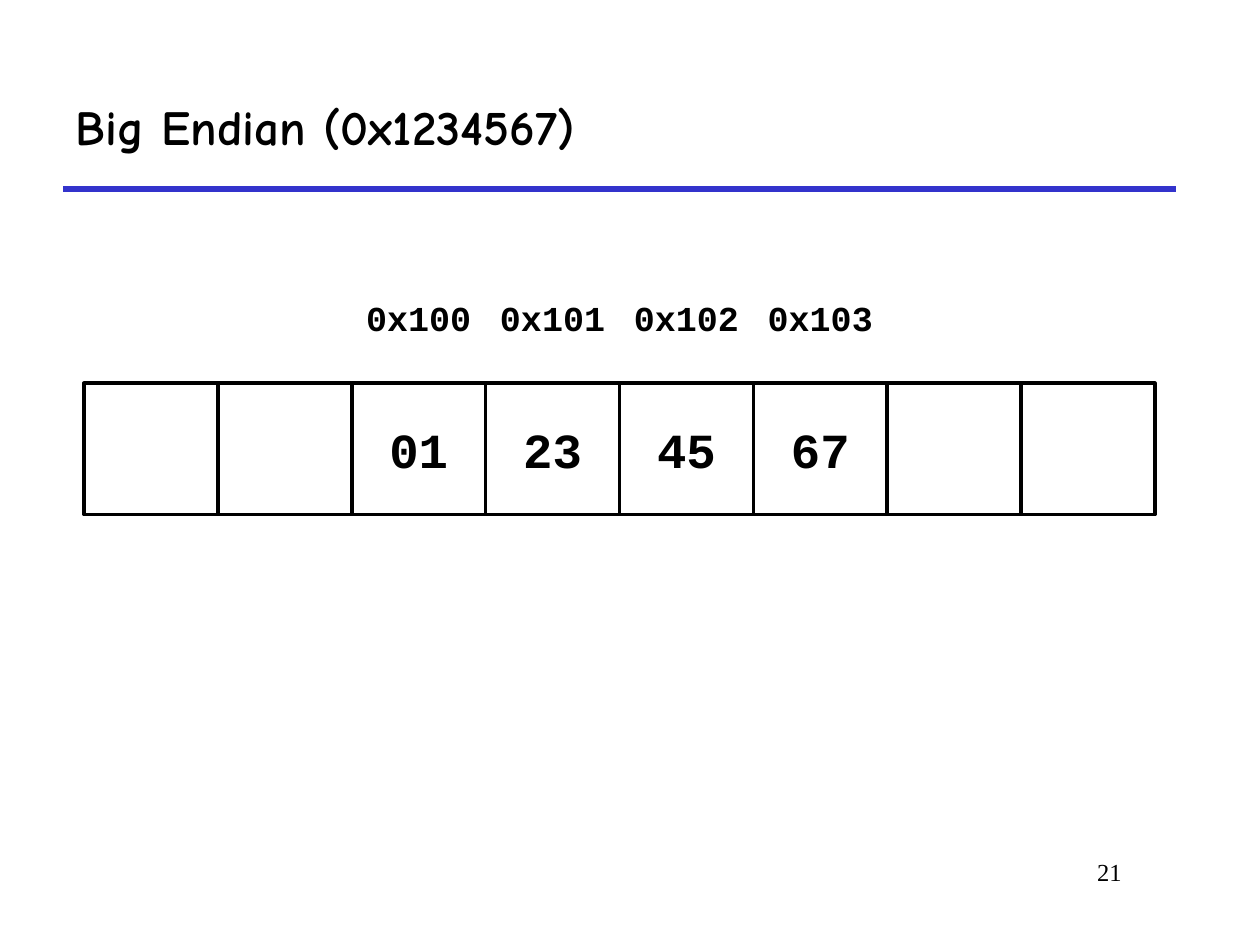
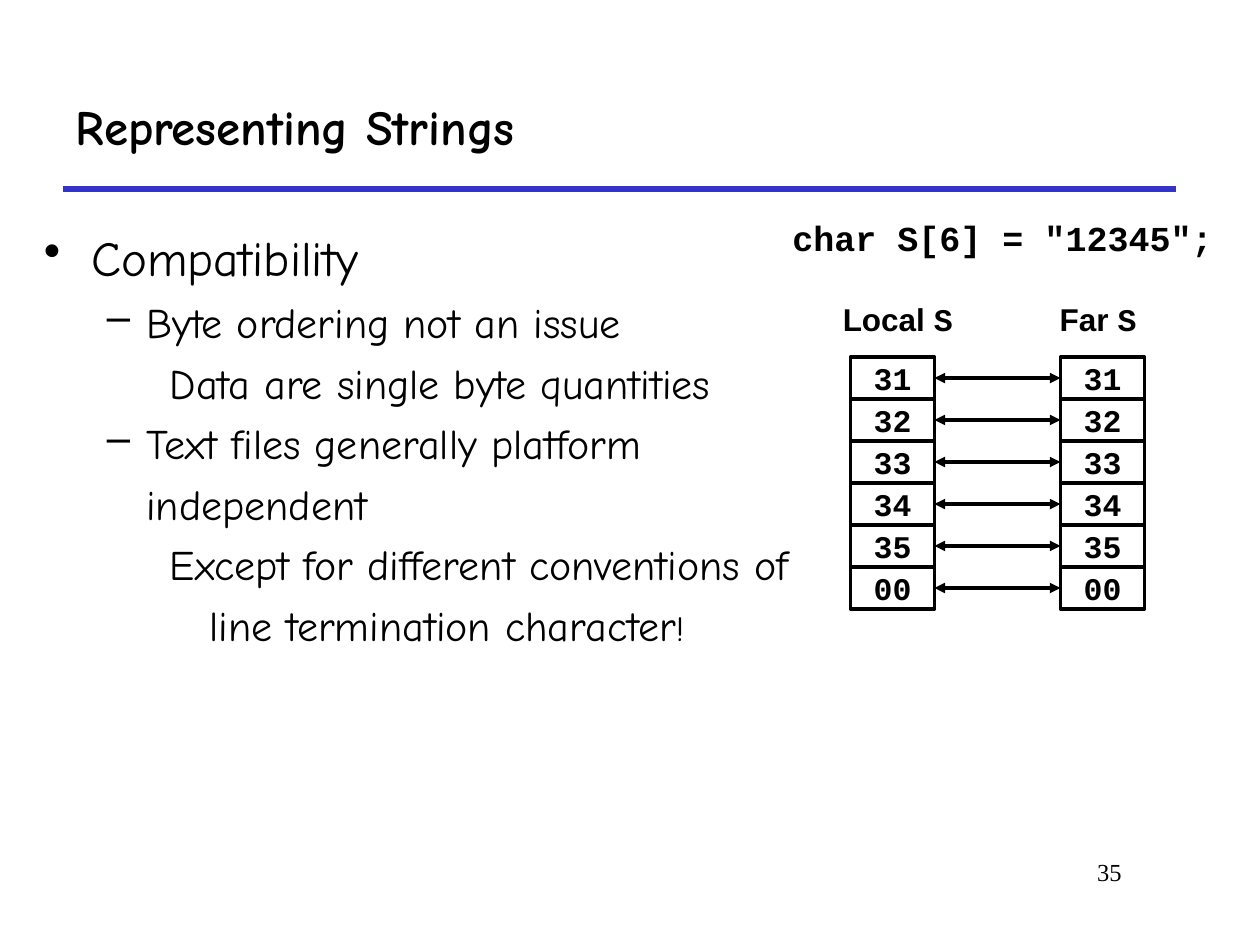
from lxml import etree
from pptx import Presentation
from pptx.dml.color import RGBColor
from pptx.enum import shapes, text
from pptx.oxml.ns import qn
from pptx.util import Pt

COLOURS = {"ink": "000000", "paper": "FFFFFF", "rule": "3333CC"}
RGB = {name: RGBColor.from_string(value) for name, value in COLOURS.items()}
HAND, MONO, SANS, SERIF = "Comic Neue", "Courier New", "Arial", "Times New Roman"
LEFT, CENTER, RIGHT = text.PP_ALIGN.LEFT, text.PP_ALIGN.CENTER, text.PP_ALIGN.RIGHT


def style(p, words, size, font, bold=True, align=CENTER):
    p.text = words
    p.alignment = align
    p.font.size, p.font.name, p.font.bold = Pt(size), font, bold
    p.font.color.rgb = RGB["ink"]


def add_cell(s, x, y, w, h, words, size, outlined=True):
    """Add a white memory cell with centred code text."""
    sp = s.shapes.add_shape(shapes.MSO_SHAPE.RECTANGLE, Pt(x), Pt(y), Pt(w), Pt(h))
    sp.shadow.inherit = False
    sp.fill.solid()
    sp.fill.fore_color.rgb = RGB["paper"]
    if outlined:
        sp.line.color.rgb = RGB["ink"]
        sp.line.width = Pt(2)
    else:
        sp.line.fill.background()
    if words:
        sp.text_frame.word_wrap = False
        sp.text_frame.vertical_anchor = text.MSO_ANCHOR.MIDDLE
        style(sp.text_frame.paragraphs[0], words, size, MONO)
    return sp


prs = Presentation()
prs.slide_width, prs.slide_height = Pt(720), Pt(540)

# Shared frame: title, rule and page number
slides = []
for title, number in (("Big Endian (0x1234567)", "21"), ("Representing Strings", "35")):
    s = prs.slides.add_slide(prs.slide_layouts[5])
    slides.append(s)
    rule = s.shapes.add_connector(shapes.MSO_CONNECTOR.STRAIGHT, Pt(36), Pt(108), Pt(672), Pt(108))
    rule.line.color.rgb = RGB["rule"]
    rule.line.width = Pt(3)
    etree.SubElement(rule._element.spPr, qn("a:effectLst"))

    sp = s.shapes.title
    sp.left, sp.top, sp.width, sp.height = Pt(36), Pt(36), Pt(636), Pt(72)
    tf = sp.text_frame
    tf.auto_size = text.MSO_AUTO_SIZE.NONE
    tf.vertical_anchor = text.MSO_ANCHOR.MIDDLE
    style(tf.paragraphs[0], title, 28, HAND, align=LEFT)

    tf = s.shapes.add_textbox(Pt(546), Pt(486), Pt(102), Pt(36)).text_frame
    tf.word_wrap = True
    style(tf.paragraphs[0], number, 14, SERIF, False, RIGHT)

# Big endian: a row of bytes with addresses above
s = slides[0]
byte_w, byte_h, row_x, row_y = 76.5, 75, 48, 219
for i, byte in enumerate(["", "", "01", "23", "45", "67", "", ""]):
    x = row_x + i * byte_w
    if byte:
        add_cell(s, x, row_y - byte_h, byte_w, byte_h, f"0x10{i - 2}", 20, outlined=False)
    add_cell(s, x, row_y, byte_w, byte_h, byte, 28)

# Strings: declaration and bullets
s = slides[1]
tf = s.shapes.add_textbox(Pt(408), Pt(120), Pt(330), Pt(42)).text_frame
tf.word_wrap = True
style(tf.paragraphs[0], 'char S[6] = "12345";', 20, MONO)

tf = s.shapes.add_textbox(Pt(18), Pt(120), Pt(456), Pt(354)).text_frame
tf.word_wrap = True
levels = [(28, 27, -27, "•"), (24, 58.5, -22.5, "–"), (24, 94.5, -22.5, None)]
points = [
    (0, "Compatibility"),
    (1, "Byte ordering not an issue"),
    (2, "Data are single byte quantities"),
    (1, "Text files generally platform independent"),
    (2, "Except for different conventions of line termination character"),
]
for i, (level, words) in enumerate(points):
    size, margin, indent, bullet = levels[level]
    p = tf.add_paragraph() if i else tf.paragraphs[0]
    style(p, words, size, HAND, False, LEFT)
    p.level = level
    p.line_spacing = 1.2
    pPr = p._p.get_or_add_pPr()
    pPr.set("marL", str(Pt(margin)))
    pPr.set("indent", str(Pt(indent)))
    if bullet:
        mark = etree.Element(qn("a:buChar"), char=bullet)
    else:
        mark = etree.Element(qn("a:buNone"))
    pPr.find(qn("a:defRPr")).addprevious(mark)
r = p.add_run()
r.text = "!"
r.font.size = Pt(20)

# Strings: the same bytes on two machines
for machine, x, w in (("Local ", 474, 78), ("Far ", 595.5, 64)):
    tf = s.shapes.add_textbox(Pt(x), Pt(168), Pt(w), Pt(29)).text_frame
    tf.word_wrap = False
    p = tf.paragraphs[0]
    style(p, machine, 18, SANS)
    r = p.add_run()
    r.text = "S"
    r.font.name = MONO

for i, byte in enumerate(["31", "32", "33", "34", "35", "00"]):
    y = 204 + i * 24
    near, far = [add_cell(s, x, y, 48, 24, byte, 18) for x in (486, 606)]
    arrow = s.shapes.add_connector(shapes.MSO_CONNECTOR.STRAIGHT, Pt(534), Pt(y + 12), Pt(606), Pt(y + 12))
    arrow.begin_connect(near, 3)
    arrow.end_connect(far, 1)
    arrow.line.color.rgb = RGB["ink"]
    arrow.line.width = Pt(2)
    for end in ("headEnd", "tailEnd"):
        etree.SubElement(arrow.line._get_or_add_ln(), qn(f"a:{end}"), type="triangle")
    etree.SubElement(arrow._element.spPr, qn("a:effectLst"))

prs.save("out.pptx")
